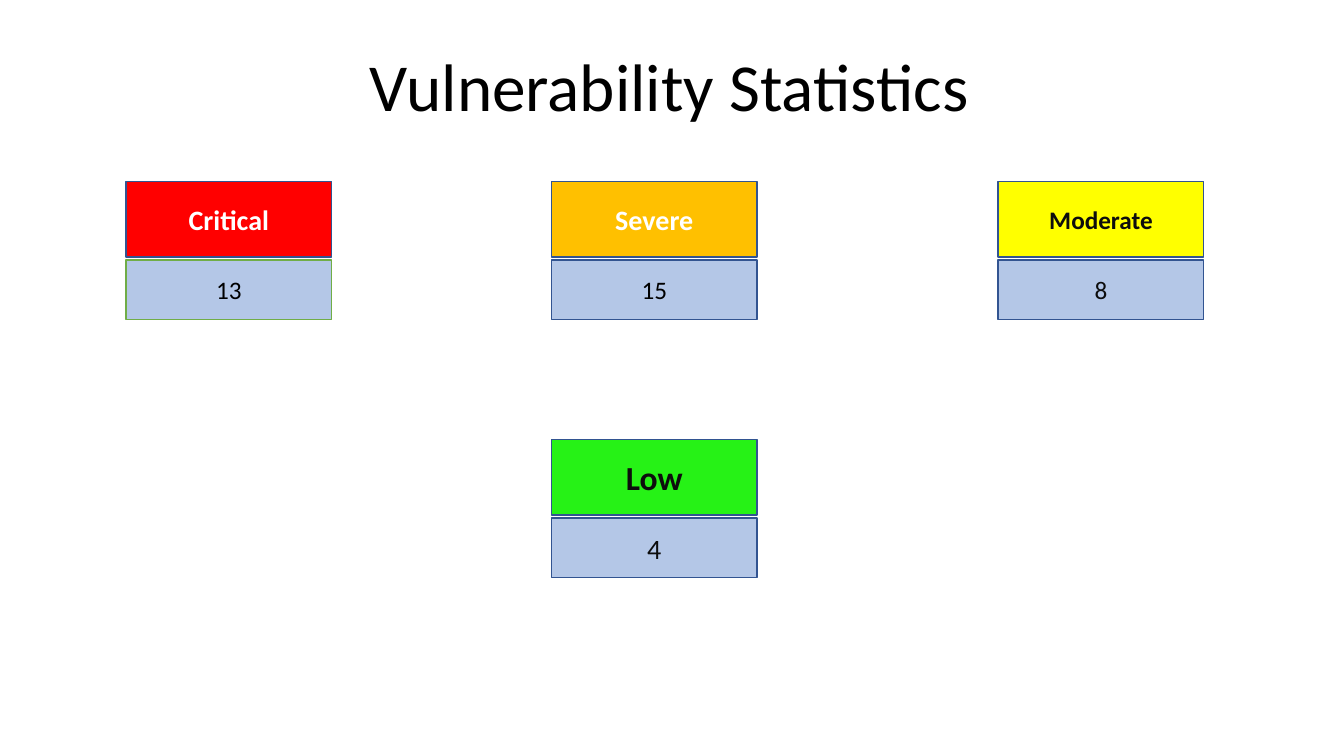
from dataclasses import dataclass

from pptx import Presentation
from pptx.dml.color import RGBColor
from pptx.enum.shapes import MSO_SHAPE
from pptx.enum.text import MSO_ANCHOR, MSO_AUTO_SIZE, PP_ALIGN
from pptx.util import Inches, Pt


@dataclass(frozen=True)
class Theme:
    font: str = "Calibri"
    black: str = "000000"
    ink: str = "0D0D0D"
    white: str = "FFFFFF"
    critical: str = "FF0000"
    severe: str = "FFC000"
    moderate: str = "FFFF00"
    low: str = "26F216"
    count_fill: str = "B4C7E7"
    outline: str = "325491"
    green_outline: str = "70AD47"
    title_size: int = 48
    large: int = 24
    medium: int = 20
    small: int = 18


CARD_WIDTH = 2.04
LABEL_HEIGHT = 0.75
COUNT_HEIGHT = 0.59
COUNT_OFFSET = 0.78
LEFT, CENTER, RIGHT = 1.25, 5.47, 9.9
UPPER, LOWER = 1.8, 4.36


class StatisticsSlide:
    def __init__(self, slide, theme):
        self.slide = slide
        self.theme = theme

    def add_text(self, frame, text, size, color, bold=False):
        frame.word_wrap = True
        paragraph = frame.paragraphs[0]
        paragraph.alignment = PP_ALIGN.CENTER
        run = paragraph.add_run()
        run.text = text
        run.font.name = self.theme.font
        run.font.size = Pt(size)
        run.font.bold = bold
        run.font.color.rgb = RGBColor.from_string(color)

    def title(self, text):
        heading = self.slide.shapes.add_textbox(
            Inches(0.22), Inches(0.39), Inches(12.84), Inches(0.91))
        self.add_text(heading.text_frame, text, self.theme.title_size, self.theme.black)
        heading.text_frame.auto_size = MSO_AUTO_SIZE.SHAPE_TO_FIT_TEXT

    def box(self, left, top, height, fill, outline, text, size, color, bold=False):
        panel = self.slide.shapes.add_shape(
            MSO_SHAPE.RECTANGLE, Inches(left), Inches(top),
            Inches(CARD_WIDTH), Inches(height))
        panel.shadow.inherit = False
        panel.fill.solid()
        panel.fill.fore_color.rgb = RGBColor.from_string(fill)
        panel.line.color.rgb = RGBColor.from_string(outline)
        panel.line.width = Pt(1)
        panel.text_frame.vertical_anchor = MSO_ANCHOR.MIDDLE
        self.add_text(panel.text_frame, text, size, color, bold)

    def severity_card(self, left, top, label, fill, label_size, label_color,
                      count, count_size, count_color, count_outline):
        """Draw a severity label with its count box just below."""
        self.box(left, top + COUNT_OFFSET, COUNT_HEIGHT, self.theme.count_fill,
                 count_outline, str(count), count_size, count_color)
        self.box(left, top, LABEL_HEIGHT, fill, self.theme.outline,
                 label, label_size, label_color, bold=True)


def main():
    presentation = Presentation()
    presentation.slide_width = Inches(13.33)
    presentation.slide_height = Inches(7.5)
    blank = presentation.slide_layouts[6]
    theme = Theme()
    statistics = StatisticsSlide(presentation.slides.add_slide(blank), theme)

    statistics.title("Vulnerability Statistics")
    severities = [
        (LEFT, UPPER, "Critical", theme.critical, theme.medium, theme.white,
         13, theme.small, theme.black, theme.green_outline),
        (CENTER, UPPER, "Severe", theme.severe, theme.medium, theme.white,
         15, theme.small, theme.black, theme.outline),
        (RIGHT, UPPER, "Moderate", theme.moderate, theme.small, theme.ink,
         8, theme.small, theme.ink, theme.outline),
        (CENTER, LOWER, "Low", theme.low, theme.large, theme.ink,
         4, theme.medium, theme.ink, theme.outline),
    ]
    for severity in severities:
        statistics.severity_card(*severity)

    presentation.save("out.pptx")


if __name__ == "__main__":
    main()
